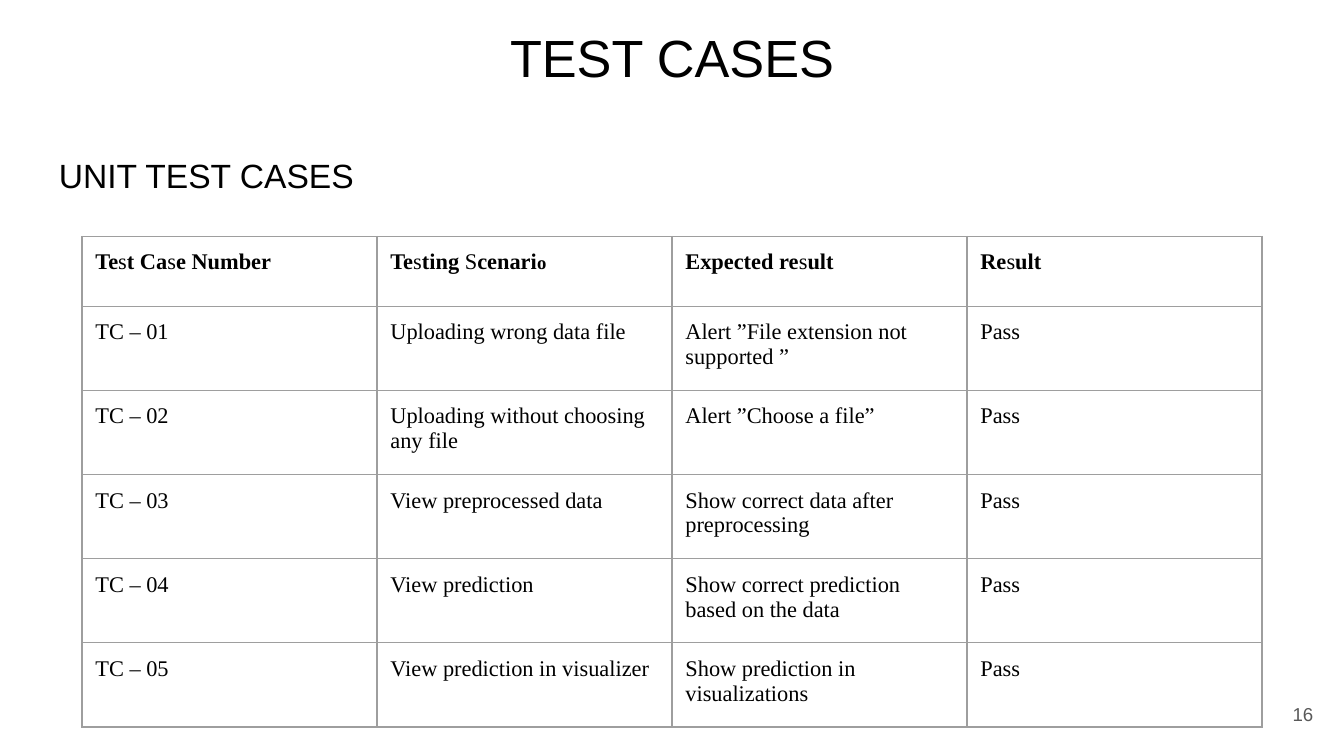
import itertools

import pptx
import pptx.dml.color
import pptx.enum.text
import pptx.oxml
import pptx.oxml.ns
import pptx.util

Inches = pptx.util.Inches
ALIGN = pptx.enum.text.PP_ALIGN
ANCHOR = pptx.enum.text.MSO_ANCHOR

# Content
LABELS = [
    # text, (left, top, width, height), size, colour, alignment, anchor, line spacing
    ("TEST CASES", (0.34, 0.09, 9.32, 0.63), 28, "000000", ALIGN.CENTER, ANCHOR.TOP, 1.0),
    ("UNIT TEST CASES", (0.34, 1.01, 9.32, 4.52), 18, "000000", ALIGN.LEFT, ANCHOR.TOP, 1.15),
    ("16", (9.27, 5.1, 0.6, 0.43), 10, "595959", ALIGN.RIGHT, ANCHOR.MIDDLE, 1.0),
]
# Each heading with its last letters that are set smaller
HEADINGS = [
    ("Test Case Number", ""),
    ("Testing Scenari", "o"),
    ("Expected result", ""),
    ("Result", ""),
]
CASES = [
    ("TC – 01", "Uploading wrong data file", "Alert ”File extension not supported ”", "Pass"),
    ("TC – 02", "Uploading without choosing any file", "Alert ”Choose a file”", "Pass"),
    ("TC – 03", "View preprocessed data", "Show correct data after preprocessing", "Pass"),
    ("TC – 04", "View prediction", "Show correct prediction based on the data", "Pass"),
    ("TC – 05", "View prediction in visualizer", "Show prediction in visualizations", "Pass"),
]

# Format
SLIDE_WIDTH = 10
SLIDE_HEIGHT = SLIDE_WIDTH * 9 / 16
TABLE_TOP, TABLE_WIDTH, TABLE_HEIGHT = 1.76, 8.78, 3.65
TABLE_LEFT = (SLIDE_WIDTH - TABLE_WIDTH) / 2
HEADING_HEIGHT = 0.52
CASE_HEIGHT = (TABLE_HEIGHT - HEADING_HEIGHT) / len(CASES)
PADDING = {f"margin_{side}": Inches(0.1) for side in ("left", "top", "right", "bottom")}
BORDER_COLOR, BORDER_WIDTH = "9E9E9E", pptx.util.Pt(0.75)


def rgb(value):
    return pptx.dml.color.RGBColor.from_string(value)


def set_all(target, values):
    for name, value in values.items():
        setattr(target, name, value)


def add_run(paragraph, text, font, size, color="000000", bold=False):
    run = paragraph.add_run()
    run.text = text
    set_all(run.font, {"name": font, "size": pptx.util.Pt(size), "bold": bold})
    run.font.color.rgb = rgb(color)


def add_borders(cell):
    properties = cell._tc.get_or_add_tcPr()
    for position, side in enumerate(("lnL", "lnR", "lnT", "lnB")):
        properties.insert(position, pptx.oxml.parse_xml(
            f'<a:{side} {pptx.oxml.ns.nsdecls("a")} w="{BORDER_WIDTH}">'
            f'<a:solidFill><a:srgbClr val="{BORDER_COLOR}"/></a:solidFill></a:{side}>'))


def heading_runs(text, small):
    # Every letter s stays regular within the bold heading
    for regular, letters in itertools.groupby(text, lambda letter: letter in "sS"):
        yield "".join(letters), 12, not regular
    if small:
        yield small, 10, True


deck = pptx.Presentation()
set_all(deck, {"slide_width": Inches(SLIDE_WIDTH), "slide_height": Inches(SLIDE_HEIGHT)})
slide = deck.slides.add_slide(deck.slide_layouts[6])

# Title, subtitle and page number
for text, place, size, color, alignment, anchor, spacing in LABELS:
    frame = slide.shapes.add_textbox(*map(Inches, place)).text_frame
    set_all(frame, {"word_wrap": True, "vertical_anchor": anchor, **PADDING})
    set_all(frame.paragraphs[0], {"alignment": alignment, "line_spacing": spacing})
    add_run(frame.paragraphs[0], text, "Arial", size, color)

# Test case table
rows = [[list(heading_runs(*heading)) for heading in HEADINGS]]
rows += [[[(text, 12, False)] for text in case] for case in CASES]
heights = [HEADING_HEIGHT] + [CASE_HEIGHT] * len(CASES)
table = slide.shapes.add_table(
    len(rows), len(HEADINGS), Inches(TABLE_LEFT), Inches(TABLE_TOP),
    Inches(TABLE_WIDTH), Inches(TABLE_HEIGHT)).table
set_all(table, {"first_row": False, "horz_banding": False})
for column in table.columns:
    column.width = Inches(TABLE_WIDTH / len(HEADINGS))
for row_index, (row, height) in enumerate(zip(rows, heights)):
    table.rows[row_index].height = Inches(height)
    for column_index, runs in enumerate(row):
        cell = table.cell(row_index, column_index)
        set_all(cell, {"vertical_anchor": ANCHOR.TOP, **PADDING})
        cell.fill.background()
        add_borders(cell)
        for text, size, bold in runs:
            add_run(cell.text_frame.paragraphs[0], text, "Times New Roman", size, bold=bold)

deck.save("out.pptx")
